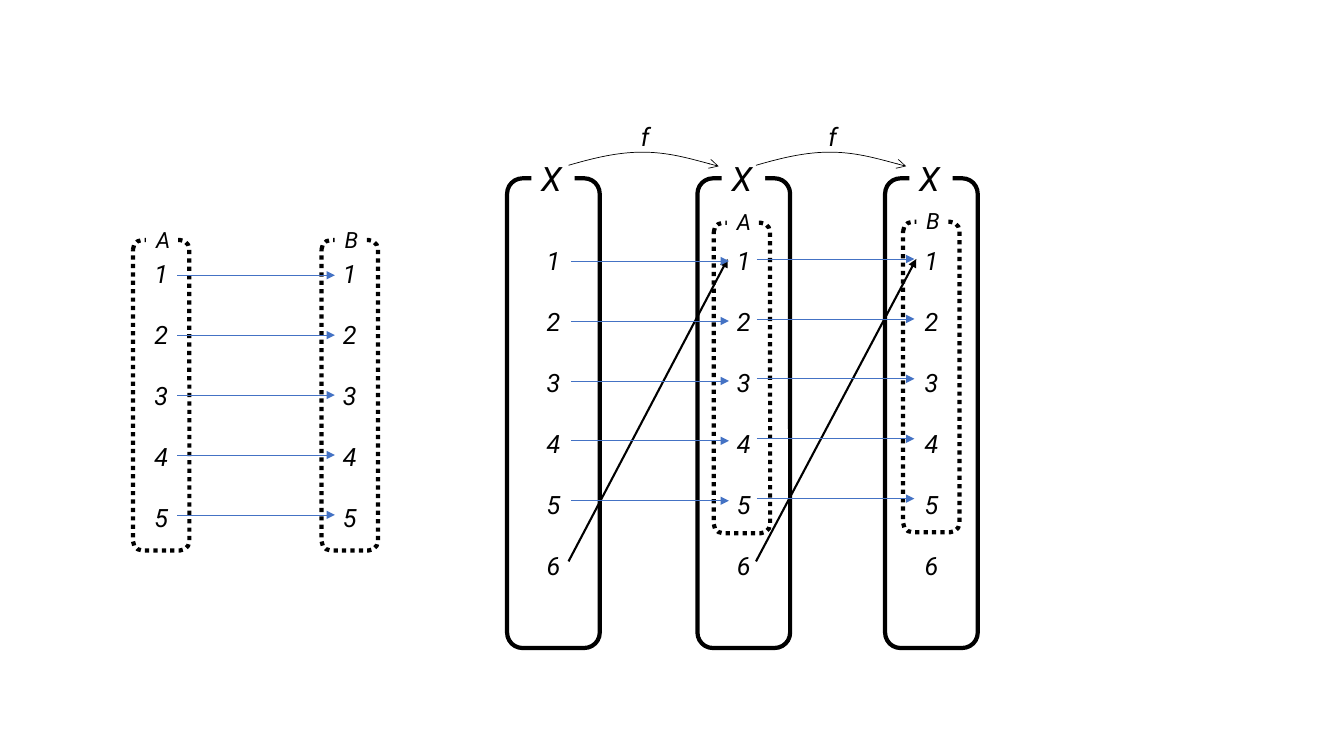
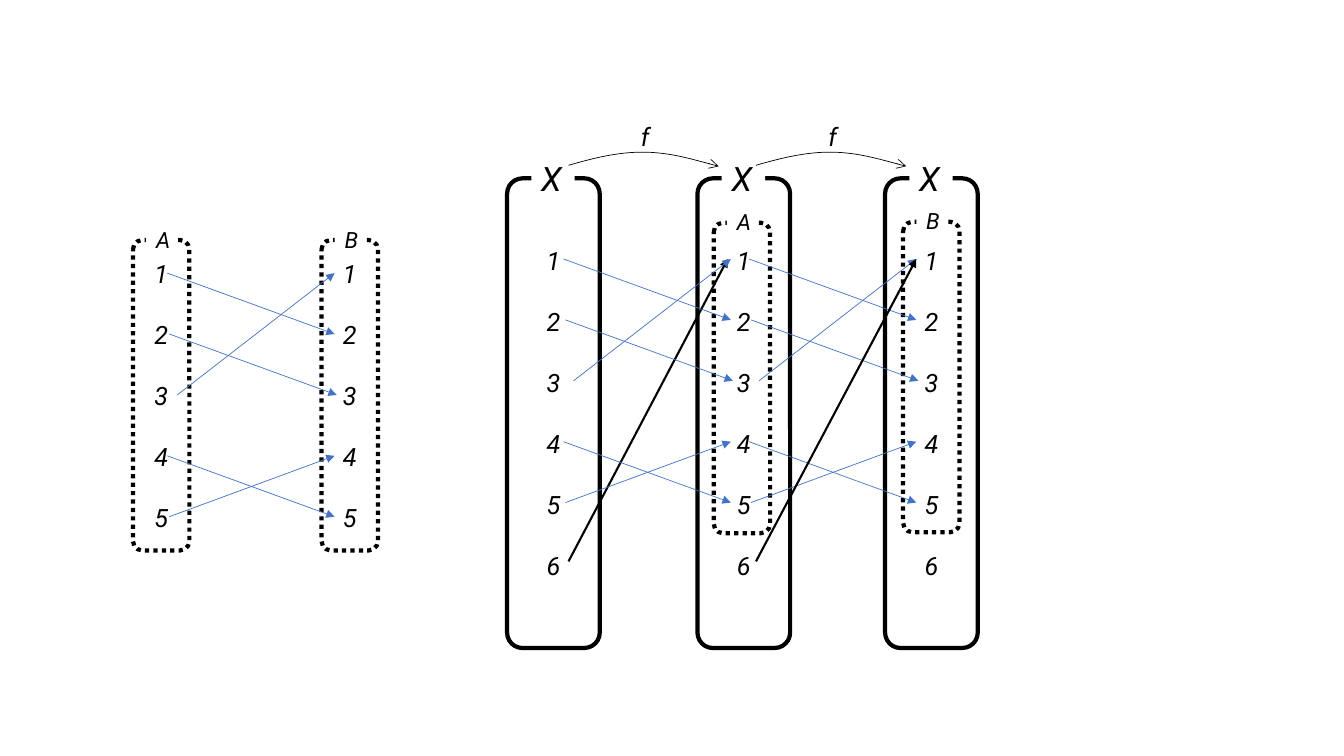
from dataclasses import dataclass

from pptx import Presentation
from pptx.dml.color import RGBColor
from pptx.enum.dml import MSO_LINE
from pptx.enum.shapes import MSO_CONNECTOR, MSO_SHAPE
from pptx.enum.text import MSO_ANCHOR, MSO_AUTO_SIZE, PP_ALIGN
from pptx.oxml.ns import qn
from pptx.oxml.xmlchemy import OxmlElement as new_element
from pptx.util import Pt

COLORS = {"ink": "000000", "paper": "FFFFFF", "arrow": "4472C4"}
FONT = "Roboto"

# Column frames: full set X (solid) and its subsets A and B (dotted)
SET_SIZE = (66.2, 335.5)
SUBSET_SIZE = (40.3, 221.8)
SET_TOP = 127.4
ROW_GAP = 22

# Steps between neighbouring X columns: start and end of the wrap-around arrow
WRAPS = (((406.1, 401), (519.8, 185)), ((540, 401), (654.5, 185)))
CURVE_TOP = 118.1
CURVE_STEPS = ((17.3, -5), (34.6, -9.4), (52.6, -9.4),
               (70.6, -9.4), (88.6, -4.3), (107.3, 0.7))


@dataclass(frozen=True)
class Column:
    name: str
    left: float
    top: float
    count: int = 0
    subset: bool = False


@dataclass(frozen=True)
class Mapping:
    """Arrows from row to row, repeated at each origin."""
    targets: tuple[int, ...]
    origins: tuple[tuple[float, float], ...]
    pitch: float
    indents: tuple[float, ...]
    reaches: tuple[float, ...]
    last_wrap_on_top: bool = False


COLUMNS = (
    Column("X", 362.2, SET_TOP, 6),
    Column("X", 632.2, SET_TOP, 6),
    Column("A", 509.8, 159.1, subset=True),
    Column("X", 498.2, SET_TOP, 6),
    Column("B", 645.1, 158.4, subset=True),
    Column("A", 95, 171.4, 5, subset=True),
    Column("B", 229.7, 171.4, 5, subset=True),
)

MAPPINGS = (
    Mapping((1, 2, 3, 4, 5),
            ((126.7, 196.6), (408.2, 186.5), (540.7, 185)),
            42.8, (0,) * 5, (112.5,) * 5),
    Mapping((2, 3, 1, 5, 4),
            ((119.5, 195.1), (402.5, 185), (535, 185)),
            43.5, (0, 1.4, 7.2, 0, 1.4), (119.5, 119.5, 121, 119.5, 119.5),
            last_wrap_on_top=True),
)


def color(name: str) -> RGBColor:
    return RGBColor.from_string(COLORS[name])


def write(shape, *lines: str, size: float, align=PP_ALIGN.LEFT,
          anchor=MSO_ANCHOR.TOP, gap: float = 0, grow: bool = False) -> None:
    frame = shape.text_frame
    frame.word_wrap = True
    frame.vertical_anchor = anchor
    if grow:
        frame.auto_size = MSO_AUTO_SIZE.SHAPE_TO_FIT_TEXT
    for index, line in enumerate(lines):
        para = frame.add_paragraph() if index else frame.paragraphs[0]
        para.alignment = align
        if index:
            para.space_before = Pt(gap)
        span = para.add_run()
        span.text = line
        span.font.name = FONT
        span.font.size = Pt(size)
        span.font.italic = True
        span.font.color.rgb = color("ink")


def add_box(page, preset, left: float, top: float, width: float, height: float):
    box = page.shapes.add_shape(preset, Pt(left), Pt(top), Pt(width), Pt(height))
    box.shadow.inherit = False
    return box


def style_line(shape, name: str, width: float, head: str = "") -> None:
    shape.line.color.rgb = color(name)
    shape.line.width = Pt(width)
    if head:
        end = new_element("a:tailEnd")
        end.set("type", head)
        shape.element.spPr.find(qn("a:ln")).append(end)


def add_arrow(page, start: tuple[float, float], end: tuple[float, float],
              name: str, width: float) -> None:
    arrow = page.shapes.add_connector(
        MSO_CONNECTOR.STRAIGHT, *(Pt(value) for value in (*start, *end)))
    style_line(arrow, name, width, "triangle")
    arrow.element.spPr.append(new_element("a:effectLst"))


def add_frame(page, column: Column) -> None:
    size = SUBSET_SIZE if column.subset else SET_SIZE
    box = add_box(page, MSO_SHAPE.ROUNDED_RECTANGLE, column.left, column.top, *size)
    box.fill.background()
    style_line(box, "ink", 3)
    if column.subset:
        box.line.dash_style = MSO_LINE.ROUND_DOT
    if column.count:
        write(box, *(str(number + 1) for number in range(column.count)), size=18,
              align=PP_ALIGN.CENTER, anchor=MSO_ANCHOR.MIDDLE, gap=ROW_GAP)


def add_name(page, column: Column) -> None:
    across, up, width, height, size = (
        (9.4, 13.7, 22.3, 26.6, 16) if column.subset else (17.3, 18, 31, 36, 24))
    label = add_box(page, MSO_SHAPE.RECTANGLE,
                    column.left + across, column.top - up, width, height)
    label.fill.solid()
    label.fill.fore_color.rgb = color("paper")
    label.line.fill.background()
    write(label, column.name, size=size, grow=True)


def add_function(page, left: float) -> None:
    """Curved arrow with the letter f above it, as one group."""
    group = page.shapes.add_group_shape()
    builder = group.shapes.build_freeform(Pt(left), Pt(CURVE_TOP))
    builder.add_line_segments(
        [(Pt(left + dx), Pt(CURVE_TOP + dy)) for dx, dy in CURVE_STEPS], close=False)
    curve = builder.convert_to_shape()
    # Turn each three straight segments into one cubic curve
    outline = next(curve.element.iter(qn("a:path")))
    segments = outline.findall(qn("a:lnTo"))
    for first in range(0, len(segments), 3):
        bend = new_element("a:cubicBezTo")
        outline.append(bend)
        for segment in segments[first:first + 3]:
            bend.append(segment[0])
            outline.remove(segment)
    curve.shadow.inherit = False
    curve.fill.background()
    style_line(curve, "ink", 0.5, "arrow")
    letter = group.shapes.add_textbox(Pt(left + 44.7), Pt(82.8), Pt(26.6), Pt(28.8))
    write(letter, "f", size=18, grow=True)


def add_mapping(page, mapping: Mapping) -> None:
    for left, top in mapping.origins:
        for row, target in enumerate(mapping.targets):
            start = (left + mapping.indents[row], top + row * mapping.pitch)
            end = (left + mapping.reaches[target - 1],
                   top + (target - 1) * mapping.pitch)
            add_arrow(page, start, end, "arrow", 0.5)


def build_page(deck, mapping: Mapping) -> None:
    page = deck.slides.add_slide(deck.slide_layouts[6])
    # Columns and their names
    for column in COLUMNS:
        add_frame(page, column)
    for column in COLUMNS:
        add_name(page, column)
    # Function arrows above the columns
    for start, _ in WRAPS:
        add_function(page, start[0])
    # Row arrows, with the wrap-around arrows below or above them
    split = len(WRAPS) - mapping.last_wrap_on_top
    for start, end in WRAPS[:split]:
        add_arrow(page, start, end, "ink", 1.5)
    add_mapping(page, mapping)
    for start, end in WRAPS[split:]:
        add_arrow(page, start, end, "ink", 1.5)


def main() -> None:
    deck = Presentation()
    deck.slide_width, deck.slide_height = Pt(960), Pt(540)
    for mapping in MAPPINGS:
        build_page(deck, mapping)
    deck.save("out.pptx")


if __name__ == "__main__":
    main()
